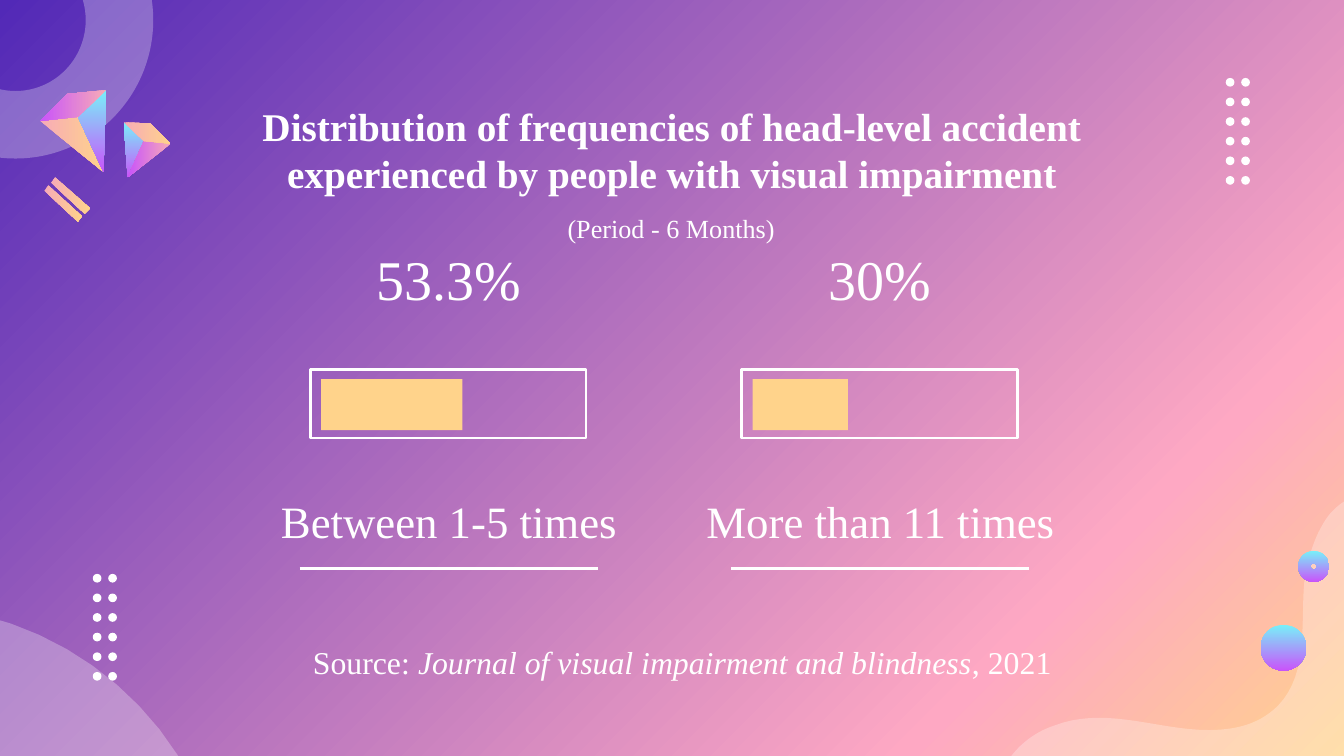
from copy import deepcopy
from typing import NamedTuple

from pptx import Presentation
from pptx.dml.color import RGBColor
from pptx.enum.shapes import MSO_CONNECTOR as Connector, MSO_SHAPE as Preset
from pptx.enum.text import MSO_ANCHOR as Anchor, MSO_AUTO_SIZE as AutoSize, PP_ALIGN as Align
from pptx.oxml.ns import qn
from pptx.oxml.xmlchemy import OxmlElement
from pptx.util import Inches, Pt

FONT = "Times New Roman"
WHITE, AMBER = "FFFFFF", "FFD38B"
CYAN, VIOLET, PINK = "78F0F9", "C954FA", "F7ABB7"
VEIL = 28  # opacity of the background shapes, per cent


class Gradient(NamedTuple):
    stops: tuple
    angle: int  # clockwise degrees


class Column(NamedTuple):
    center: float
    percent: str
    label: str
    bar_width: float


class Facet(NamedTuple):
    points: tuple
    gradient: Gradient


BACKDROP = Gradient(((0, "5229B7"), (0.79, "FEA8C3"), (1, AMBER)), 45)
COOL = Gradient(((0, CYAN), (1, VIOLET)), 90)
WARM = Gradient(((0, PINK), (1, AMBER)), 0)
ROSE = Gradient(((0, PINK), (1, VIOLET)), 180)

COLUMNS = (
    Column(3.34, "53.3%", "Between 1-5 times", 1.05),
    Column(6.55, "30%", "More than 11 times", 0.71),
)

FACETS = (
    # Large crystal
    Facet(((0.3, 0.9), (0.58, 0.87), (0.77, 1.28)), WARM),
    Facet(((0.77, 1.28), (0.58, 0.87), (0.79, 0.67)), COOL),
    Facet(((0.79, 0.67), (0.58, 0.87), (0.3, 0.9), (0.5, 0.7)), ROSE),
    # Small crystal
    Facet(((0.92, 0.91), (1.07, 1.05), (0.95, 1.32)), COOL),
    Facet(((0.95, 1.32), (1.07, 1.05), (1.27, 1.07)), ROSE),
    Facet(((1.27, 1.07), (1.07, 1.05), (0.92, 0.91), (1.12, 0.92)), WARM),
    # Pair of stripes
    Facet(((0.38, 1.36), (0.41, 1.32), (0.67, 1.55), (0.63, 1.59)), WARM),
    Facet(((0.33, 1.42), (0.36, 1.38), (0.61, 1.61), (0.58, 1.65)), WARM),
)

# Cubic curves: a start point, then two handles and an end point per piece
WAVE = (
    (10.09, 3.69), (10.02, 3.71), (9.95, 3.76), (9.89, 3.83),
    (9.79, 3.96), (9.74, 4.13), (9.71, 4.28), (9.67, 4.6), (9.75, 5), (9.51, 5.25),
    (9.35, 5.41), (9.14, 5.44), (8.92, 5.43), (8.56, 5.41), (8.2, 5.26), (7.84, 5.4),
    (7.69, 5.45), (7.55, 5.56), (7.47, 5.71), (7.43, 5.81), (7.41, 5.91), (7.41, 6.01),
)
HILL = (
    (1.67, 6.58), (1.67, 6.56), (1.66, 6.53), (1.66, 6.5),
    (1.44, 5.2), (0.21, 4.33), (-1.09, 4.54), (-1.11, 4.55), (-1.13, 4.55), (-1.16, 4.56),
)


def color(value: str) -> RGBColor:
    return RGBColor.from_string(value)


def set_gradient(fill, owner, gradient: Gradient) -> None:
    fill.gradient()
    stop_list = next(owner.iter(qn("a:gsLst")))
    while len(stop_list) < len(gradient.stops):
        stop_list.append(deepcopy(stop_list[-1]))
    for stop, (position, value) in zip(fill.gradient_stops, gradient.stops):
        stop.position = position
        stop.color.rgb = color(value)
    fill.gradient_angle = (360 - gradient.angle) % 360


def paint(shape, fill, opacity: int = 100):
    """Fill a shape with a colour, a gradient or nothing, without outline or shadow."""
    shape.shadow.inherit = False
    shape.line.fill.background()
    if fill is None:
        shape.fill.background()
    elif isinstance(fill, Gradient):
        set_gradient(shape.fill, shape._element.spPr, fill)
    else:
        shape.fill.solid()
        shape.fill.fore_color.rgb = color(fill)
    if opacity < 100:
        alpha = OxmlElement("a:alpha")
        alpha.set("val", str(opacity * 1000))
        next(shape._element.spPr.iter(qn("a:srgbClr"))).append(alpha)
    return shape


def add_preset(page, preset, left, top, width, height, fill, opacity: int = 100):
    shape = page.shapes.add_shape(preset, *map(Inches, (left, top, width, height)))
    return paint(shape, fill, opacity)


def add_outline(page, points, fill, opacity: int = 100):
    start, *rest = [(Inches(x), Inches(y)) for x, y in points]
    builder = page.shapes.build_freeform(*start)
    builder.add_line_segments(rest)
    return paint(builder.convert_to_shape(), fill, opacity)


def flatten(curve, steps: int = 16) -> list:
    """Turn joined cubic curves into a list of points."""
    points = [curve[0]]
    for first in range(0, len(curve) - 1, 3):
        piece = curve[first:first + 4]
        for step in range(1, steps + 1):
            t = step / steps
            weights = ((1 - t) ** 3, 3 * t * (1 - t) ** 2, 3 * t * t * (1 - t), t ** 3)
            points.append(tuple(sum(w * p[axis] for w, p in zip(weights, piece))
                                for axis in (0, 1)))
    return points


def add_dots(page, left: float, top: float) -> None:
    for row in range(6):
        for column in range(2):
            add_preset(page, Preset.OVAL, left + 0.115 * column, top + 0.146 * row,
                       0.065, 0.065, WHITE)


def write(box, spans, size: int, align=Align.CENTER, anchor=Anchor.TOP, **style) -> None:
    """Write spans of (text, style) in one paragraph."""
    frame = box.text_frame
    for name, value in {"word_wrap": True, "auto_size": AutoSize.NONE,
                        "vertical_anchor": anchor}.items():
        setattr(frame, name, value)
    for side in ("left", "top", "right", "bottom"):
        setattr(frame, f"margin_{side}", Inches(0.1))
    para = frame.paragraphs[0]
    para.alignment = align
    for text, extra in spans:
        span = para.add_run()
        span.text = text
        for name, value in {"name": FONT, "size": Pt(size), **style, **extra}.items():
            setattr(span.font, name, value)
        span.font.color.rgb = color(WHITE)


def add_text(page, left, top, width, height, spans, size, **options) -> None:
    box = page.shapes.add_textbox(*map(Inches, (left, top, width, height)))
    write(box, spans, size, **options)


def add_rule(page, left: float, right: float, y: float) -> None:
    rule = page.shapes.add_connector(Connector.STRAIGHT, *map(Inches, (left, y, right, y)))
    rule.line.color.rgb = color(WHITE)
    rule.line.width = Pt(1.5)
    rule._element.spPr.append(OxmlElement("a:effectLst"))


def add_column(page, column: Column) -> None:
    center = column.center
    add_text(page, center - 1.33 / 2, 1.65, 1.33, 0.84, [(column.percent, {})], 30,
             anchor=Anchor.MIDDLE)
    left = center - 1.03
    frame = add_preset(page, Preset.RECTANGLE, left, 2.75, 2.05, 0.51, None)
    frame.line.color.rgb = color(WHITE)
    frame.line.width = Pt(1.5)
    add_preset(page, Preset.RECTANGLE, left + 0.08, 2.82, column.bar_width, 0.38, AMBER)
    add_text(page, center - 2.85 / 2, 3.58, 2.85, 0.58, [(column.label, {})], 24,
             anchor=Anchor.MIDDLE)
    add_rule(page, center - 1.11, center + 1.11, 4.23)


def main() -> None:
    deck = Presentation()
    deck.slide_width = Inches(10)
    deck.slide_height = deck.slide_width * 9 // 16
    page = deck.slides.add_slide(deck.slide_layouts[5])
    set_gradient(page.background.fill, page._element, BACKDROP)

    # Translucent background shapes
    ring = add_preset(page, Preset.DONUT, -0.91, -0.88, 2.05, 2.06, WHITE, VEIL)
    ring.adjustments[0] = 0.245
    add_outline(page, flatten(WAVE) + [(10.09, 6.01)], WHITE, VEIL)
    add_outline(page, [(-0.75, 6.99)] + flatten(HILL), WHITE, VEIL)

    # Crystals, stripes, balls and dots
    for facet in FACETS:
        add_outline(page, facet.points, facet.gradient)
    bead = add_preset(page, Preset.DONUT, 9.66, 4.1, 0.23, 0.23, COOL)
    bead.adjustments[0] = 0.4
    add_preset(page, Preset.OVAL, 9.38, 4.65, 0.34, 0.34, COOL)
    add_dots(page, 9.12, 0.58)
    add_dots(page, 0.69, 4.27)

    # Heading and period
    title = page.shapes.title
    for name, value in {"left": 1.5, "top": 0.66, "width": 7, "height": 0.91}.items():
        setattr(title, name, Inches(value))
    write(title, [("Distribution of frequencies of head-level accident "
                   "experienced by people with visual impairment", {})], 21, bold=True)
    add_text(page, 3.91, 1.48, 2.17, 0.44, [("(Period - 6 Months)", {})], 14)

    # Percentages with their bars
    for column in COLUMNS:
        add_column(page, column)

    # Source line
    add_text(page, 2.23, 4.68, 5.97, 0.49, [
        ("Source: ", {}),
        ("Journal of visual impairment and blindness", {"italic": True}),
        (", 2021", {}),
    ], 17, align=Align.LEFT)

    deck.save("out.pptx")


if __name__ == "__main__":
    main()
